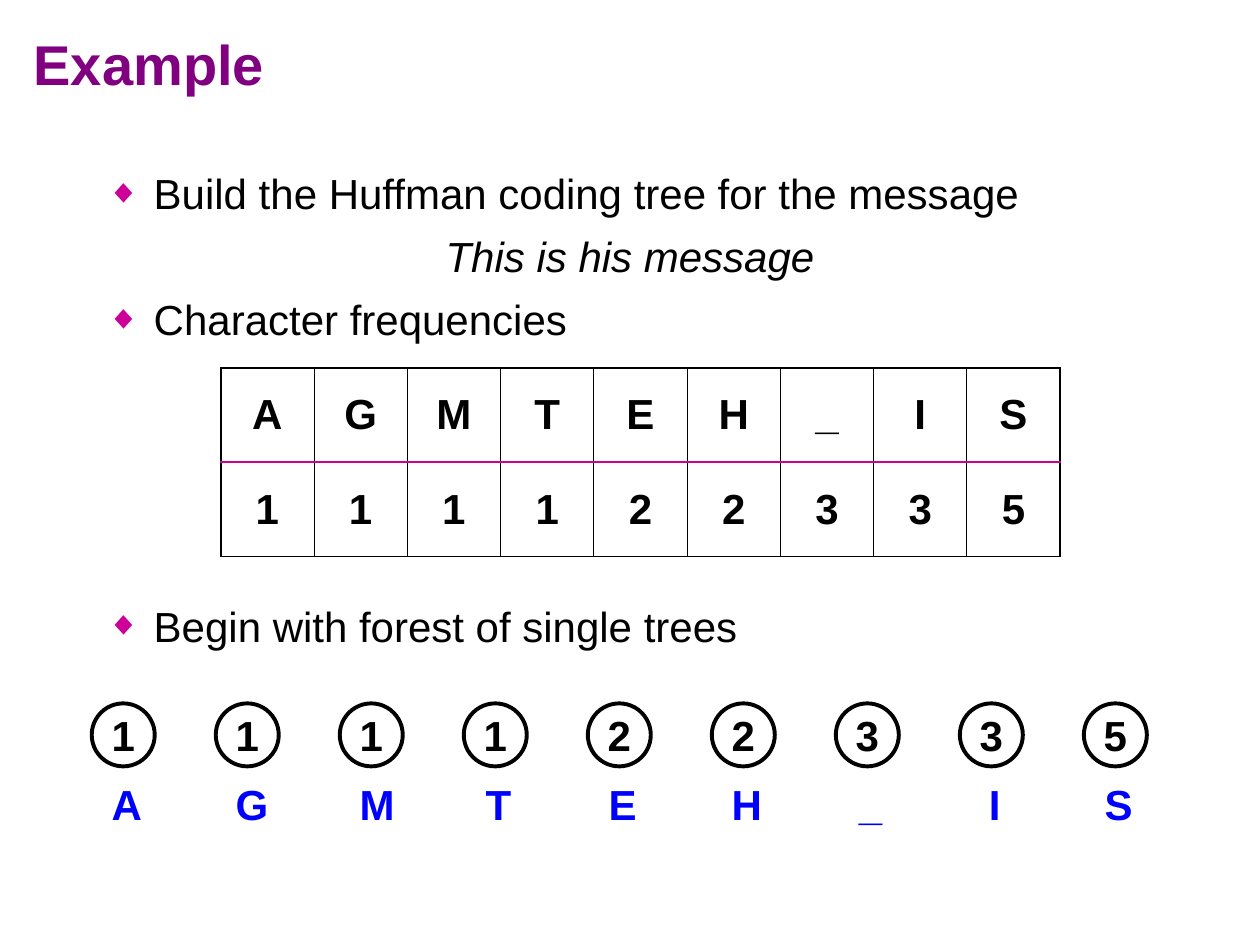
from lxml import etree
from pptx import Presentation
from pptx.dml.color import RGBColor
from pptx.enum import shapes, text
from pptx.oxml import parse_xml
from pptx.oxml.ns import nsdecls, qn
from pptx.util import Cm, Pt

BLACK, PURPLE, MAGENTA, BLUE = "000000", "800080", "CC0099", "0000FF"
FREQUENCIES = {"A": 1, "G": 1, "M": 1, "T": 1, "E": 2, "H": 2, "_": 3, "I": 3, "S": 5}
TREE_PITCH = 2.5
LINE_GAP = 7.2
TABLE_GAP = 146.5


def rgb(hex_colour):
    return RGBColor.from_string(hex_colour)


def style(paragraph, size=24, colour=BLACK, bold=False, italic=False,
          align=text.PP_ALIGN.LEFT):
    font = paragraph.font
    font.name, font.size = "Arial", Pt(size)
    font.bold, font.italic = bold, italic
    font.color.rgb = rgb(colour)
    paragraph.alignment = align


def add_text(slide, words, left, top, width, height, wrap=True,
             anchor=text.MSO_ANCHOR.TOP, **look):
    frame = slide.shapes.add_textbox(Cm(left), Cm(top), Cm(width), Cm(height)).text_frame
    frame.word_wrap = wrap
    frame.vertical_anchor = anchor
    frame.text = words
    style(frame.paragraphs[0], **look)
    return frame


def add_bullet(paragraph):
    """Hang a magenta diamond in front of the paragraph."""
    properties = paragraph._p.get_or_add_pPr()
    properties.set("marL", str(Cm(0.95)))
    properties.set("indent", str(-Cm(0.95)))
    colour = etree.SubElement(properties, qn("a:buClr"))
    etree.SubElement(colour, qn("a:srgbClr"), val=MAGENTA)
    etree.SubElement(properties, qn("a:buSzPct"), val="80000")
    etree.SubElement(properties, qn("a:buFont"), typeface="Arial")
    etree.SubElement(properties, qn("a:buChar"), char="◆")


def add_steps(slide):
    steps = [
        ("Build the Huffman coding tree for the message", True, 0),
        ("This is his message", False, LINE_GAP),
        ("Character frequencies", True, LINE_GAP),
        ("Begin with forest of single trees", True, TABLE_GAP),
    ]
    frame = add_text(slide, "", 1.9, 3.25, 21.6, 14.6)
    for index, (words, bulleted, gap) in enumerate(steps):
        paragraph = frame.add_paragraph() if index else frame.paragraphs[0]
        paragraph.text = words
        align = text.PP_ALIGN.LEFT if bulleted else text.PP_ALIGN.CENTER
        style(paragraph, italic=not bulleted, align=align)
        paragraph.space_before = Pt(gap)
        if bulleted:
            add_bullet(paragraph)


def set_borders(cell, **sides):
    """Draw borders given as L, R, T, B = (colour, points)."""
    properties = cell._tc.get_or_add_tcPr()
    for position, side in enumerate("LRTB"):
        colour, width = sides[side]
        properties.insert(position, parse_xml(
            f'<a:ln{side} {nsdecls("a")} w="{Pt(width)}"><a:solidFill>'
            f'<a:srgbClr val="{colour}"/></a:solidFill></a:ln{side}>'))


def add_frequency_table(slide):
    rows = [list(FREQUENCIES), list(FREQUENCIES.values())]
    last = len(FREQUENCIES) - 1
    table = slide.shapes.add_table(2, last + 1, Cm(4.45), Cm(7.42),
                                   Cm(1.88 * (last + 1)), Cm(3.8)).table
    table.first_row = table.horz_banding = False
    outer, inner, divider = (BLACK, 1.08), (BLACK, 0.45), (MAGENTA, 1.08)
    for column in table.columns:
        column.width = Cm(1.88)
    for r, values in enumerate(rows):
        table.rows[r].height = Cm(1.9)
        for c, value in enumerate(values):
            cell = table.cell(r, c)
            cell.text = str(value)
            cell.vertical_anchor = text.MSO_ANCHOR.MIDDLE
            style(cell.text_frame.paragraphs[0], bold=True, align=text.PP_ALIGN.CENTER)
            cell.fill.background()
            set_borders(cell,
                        L=outer if c == 0 else inner,
                        R=outer if c == last else inner,
                        T=divider if r else outer,
                        B=outer if r else divider)


def add_tree(slide, index, letter, count):
    """Add a one-node tree: its weight in a circle, its letter below."""
    offset = index * TREE_PITCH
    node = slide.shapes.add_shape(shapes.MSO_SHAPE.FLOWCHART_CONNECTOR,
                                  Cm(1.85 + offset), Cm(14.18), Cm(1.27), Cm(1.27))
    node.shadow.inherit = False
    node.fill.background()
    node.line.color.rgb = rgb(BLACK)
    node.line.width = Pt(2.25)
    frame = node.text_frame
    frame.word_wrap = False
    frame.vertical_anchor = text.MSO_ANCHOR.MIDDLE
    frame.text = str(count)
    style(frame.paragraphs[0], bold=True, align=text.PP_ALIGN.CENTER)
    add_text(slide, letter, 2 + offset, 15.57, 1.1, 1.27, wrap=False,
             colour=BLUE, bold=True, align=text.PP_ALIGN.CENTER)


def main():
    deck = Presentation()
    deck.slide_width, deck.slide_height = Cm(25.4), Cm(19.05)
    slide = deck.slides.add_slide(deck.slide_layouts[6])
    add_text(slide, "Example", 0.43, 0.1, 24.56, 2.34,
             anchor=text.MSO_ANCHOR.MIDDLE, size=32, colour=PURPLE, bold=True)
    add_steps(slide)
    add_frequency_table(slide)
    for index, (letter, count) in enumerate(FREQUENCIES.items()):
        add_tree(slide, index, letter, count)
    deck.save("out.pptx")


if __name__ == "__main__":
    main()
